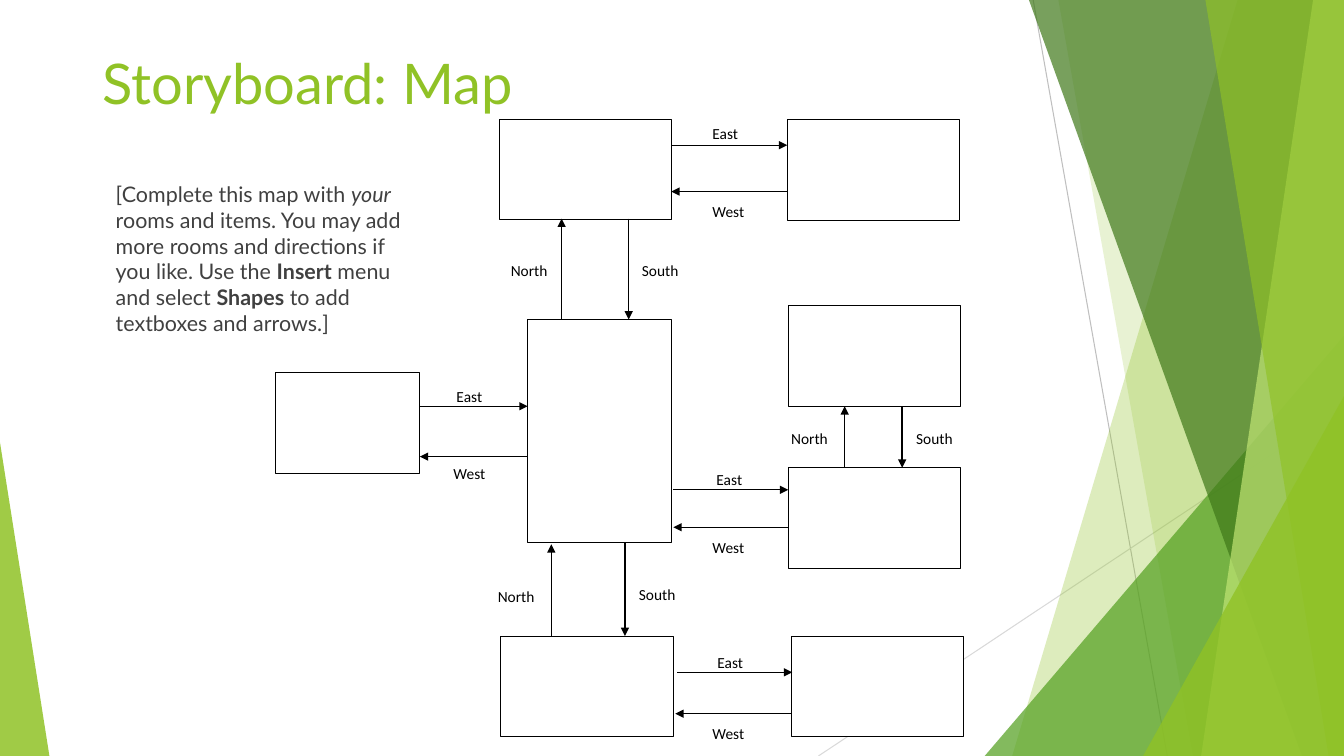
"""Build the storyboard map slide: rooms joined by labelled passages."""
from dataclasses import dataclass

from lxml.etree import SubElement
from pptx import Presentation
from pptx.dml.color import RGBColor
from pptx.enum.shapes import MSO_CONNECTOR, MSO_SHAPE
from pptx.enum.text import MSO_ANCHOR, PP_ALIGN
from pptx.oxml.ns import qn
from pptx.util import Pt


@dataclass(frozen=True)
class Theme:
    lime: str = "90C226"
    pale: str = "C0E474"
    green: str = "54A021"
    forest: str = "3F7819"
    white: str = "FFFFFF"
    black: str = "000000"
    body: str = "404040"
    rule: str = "BFBFBF"
    faint: str = "D9D9D9"
    heading_font: str = "Lato"
    label_font: str = "Calibri"
    title_size: float = 40
    body_size: float = 15.3
    label_size: float = 11


@dataclass(frozen=True)
class Band:
    top_x: float
    bottom_x: float
    color: str
    opacity: int


@dataclass(frozen=True)
class Wedge:
    x: float
    y: float
    w: float
    apex: int
    color: str
    opacity: int


@dataclass(frozen=True)
class Room:
    x: float
    y: float
    w: float = 123.2
    h: float = 72


@dataclass(frozen=True)
class Passage:
    way: str
    across: float
    start: float
    end: float
    label_x: float
    label_y: float
    weight: float = 1


T = Theme()
W, H = 960, 540

FACETS = [
    Band(884.2, 722.9, T.lime, 30),
    Band(756, 851.8, T.lime, 20),
    Wedge(703.4, 239.8, 256.6, 1, T.green, 72),
    Band(735.1, 929.5, T.forest, 70),
    Band(938.2, 858.2, T.pale, 70),
    Band(861.1, 949, T.lime, 65),
    Wedge(816.5, 283, 143.5, 1, T.lime, 80),
    Wedge(0, 316.1, 35.3, 0, T.lime, 85),
]

ROOMS = [
    Room(356.4, 85),
    Room(562.3, 85.4),
    Room(563, 218.2),
    Room(563, 334.1),
    Room(565.2, 454.3),
    Room(196.9, 266.2, w=103),
    Room(357.6, 454.3),
    Room(376.9, 228.2, w=103, h=159.1),
]

PASSAGES = [
    Passage("North", 401.2, 228.2, 156.2, 357.8, 182.2),
    Passage("North", 393.8, 454.3, 388.8, 348.5, 414.7),
    Passage("North", 603.4, 334.1, 290.2, 558, 302.4),
    Passage("South", 449.1, 156.2, 228.2, 451.4, 182.2),
    Passage("South", 446.4, 388.1, 454.3, 449.3, 413.3),
    Passage("South", 644.4, 290.2, 334.1, 647.3, 302.4),
    Passage("East", 103.7, 479.5, 562.3, 501.8, 84.2, 0.75),
    Passage("East", 349.9, 481, 563, 504.7, 331.2, 0.75),
    Passage("East", 480.2, 483.8, 565.9, 505.4, 462.2, 0.75),
    Passage("East", 290.2, 299.9, 376.9, 319, 272.2),
    Passage("West", 136.8, 562.3, 479.5, 501.8, 139.7),
    Passage("West", 509.8, 565.2, 482.4, 501.8, 512.6),
    Passage("West", 376.6, 563, 481, 501.8, 380.2),
    Passage("West", 326.2, 376.9, 299.9, 316.8, 327.4),
]

INSTRUCTIONS = [
    ("[Complete this map with ", ""),
    ("your", "i"),
    (" rooms and items. You may add more rooms and directions if you like. Use the ", ""),
    ("Insert", "b"),
    (" menu and select ", ""),
    ("Shapes", "b"),
    (" to add textboxes and arrows.]", ""),
]


def paint(sp, color: str, opacity: int = 100, line: float = 0) -> None:
    sp.shadow.inherit = False
    sp.fill.solid()
    sp.fill.fore_color.rgb = RGBColor.from_string(color)
    if opacity < 100:
        clr = sp._element.spPr.find(qn("a:solidFill"))[0]
        SubElement(clr, qn("a:alpha"), val=str(opacity * 1000))
    if line:
        sp.line.color.rgb = RGBColor.from_string(T.black)
        sp.line.width = Pt(line)
    else:
        sp.line.fill.background()


def add_line(s, x1: float, y1: float, x2: float, y2: float, *,
             color: str, weight: float, arrow: bool = False) -> None:
    cx = s.shapes.add_connector(MSO_CONNECTOR.STRAIGHT, Pt(x1), Pt(y1), Pt(x2), Pt(y2))
    cx.line.color.rgb = RGBColor.from_string(color)
    cx.line.width = Pt(weight)
    spPr = cx._element.spPr
    if arrow:
        SubElement(spPr.find(qn("a:ln")), qn("a:tailEnd"), type="triangle")
    SubElement(spPr, qn("a:effectLst"))


def add_facet(s, facet: Band | Wedge) -> None:
    if isinstance(facet, Band):
        fb = s.shapes.build_freeform(facet.top_x, 0, scale=Pt(1))
        fb.add_line_segments([(W, 0), (W, H), (facet.bottom_x, H)], close=True)
        sp = fb.convert_to_shape()
    else:
        sp = s.shapes.add_shape(MSO_SHAPE.ISOSCELES_TRIANGLE, Pt(facet.x), Pt(facet.y),
                                Pt(facet.w), Pt(H - facet.y))
        sp.adjustments[0] = facet.apex
    paint(sp, facet.color, facet.opacity)


def write(sp, runs: list[tuple[str, str]], *, font: str, size: float, color: str,
          spacing: float = 1, after: float = 0) -> None:
    tf = sp.text_frame
    tf.word_wrap = True
    tf.vertical_anchor = MSO_ANCHOR.TOP
    p = tf.paragraphs[0]
    p.alignment = PP_ALIGN.LEFT
    p.line_spacing = spacing
    p.space_after = Pt(after)
    for text, style in runs:
        r = p.add_run()
        r.text = text
        r.font.name = font
        r.font.size = Pt(size)
        r.font.color.rgb = RGBColor.from_string(color)
        r.font.bold = style == "b"
        r.font.italic = style == "i"


def add_room(s, room: Room) -> None:
    sp = s.shapes.add_shape(MSO_SHAPE.RECTANGLE, Pt(room.x), Pt(room.y), Pt(room.w), Pt(room.h))
    paint(sp, T.white, line=0.5)


def add_passage(s, psg: Passage) -> None:
    vertical = psg.way in ("North", "South")
    ends = ((psg.across, psg.start, psg.across, psg.end) if vertical
            else (psg.start, psg.across, psg.end, psg.across))
    add_line(s, *ends, color=T.black, weight=psg.weight, arrow=True)
    sp = s.shapes.add_shape(MSO_SHAPE.RECTANGLE, Pt(psg.label_x), Pt(psg.label_y),
                            Pt(42), Pt(24.5 if vertical else 17))
    paint(sp, T.white)
    write(sp, [(psg.way, "")], font=T.label_font, size=T.label_size, color=T.black,
          spacing=1.07, after=8)


def main() -> None:
    prs = Presentation()
    prs.slide_width, prs.slide_height = Pt(W), Pt(H)
    s = prs.slides.add_slide(prs.slide_layouts[6])
    add_line(s, 738, 0, 833.8, H, color=T.rule, weight=0.75)
    add_line(s, W, 290.2, 584.6, H, color=T.faint, weight=0.75)
    for facet in FACETS:
        add_facet(s, facet)
    title = s.shapes.add_textbox(Pt(66.2), Pt(31), Pt(626.4), Pt(85))
    write(title, [("Storyboard: Map", "")], font=T.heading_font, size=T.title_size, color=T.lime)
    body = s.shapes.add_textbox(Pt(75.6), Pt(126), Pt(221), Pt(113.8))
    write(body, INSTRUCTIONS, font=T.heading_font, size=T.body_size, color=T.body)
    for room in ROOMS:
        add_room(s, room)
    for psg in PASSAGES:
        add_passage(s, psg)
    prs.save("out.pptx")


if __name__ == "__main__":
    main()
